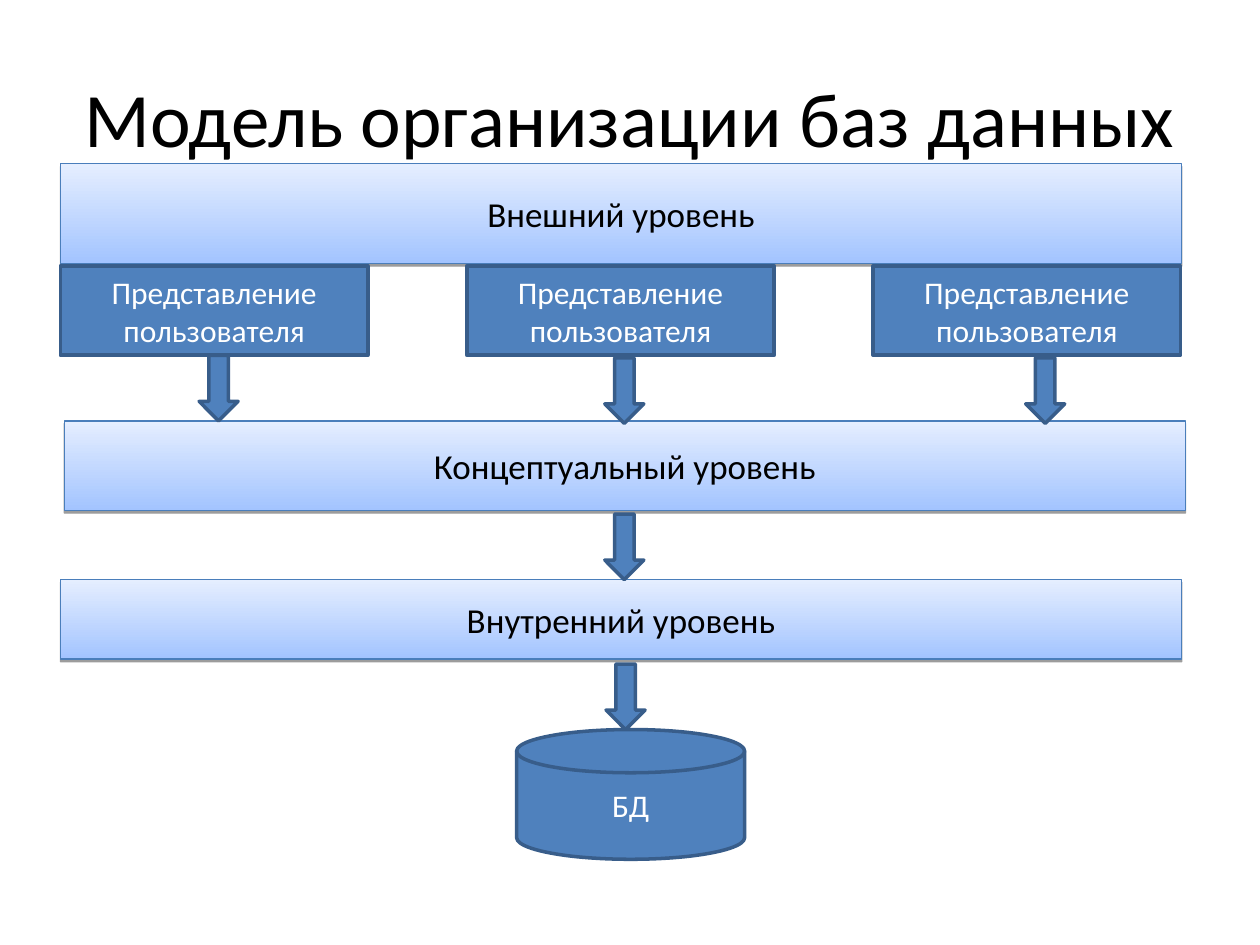
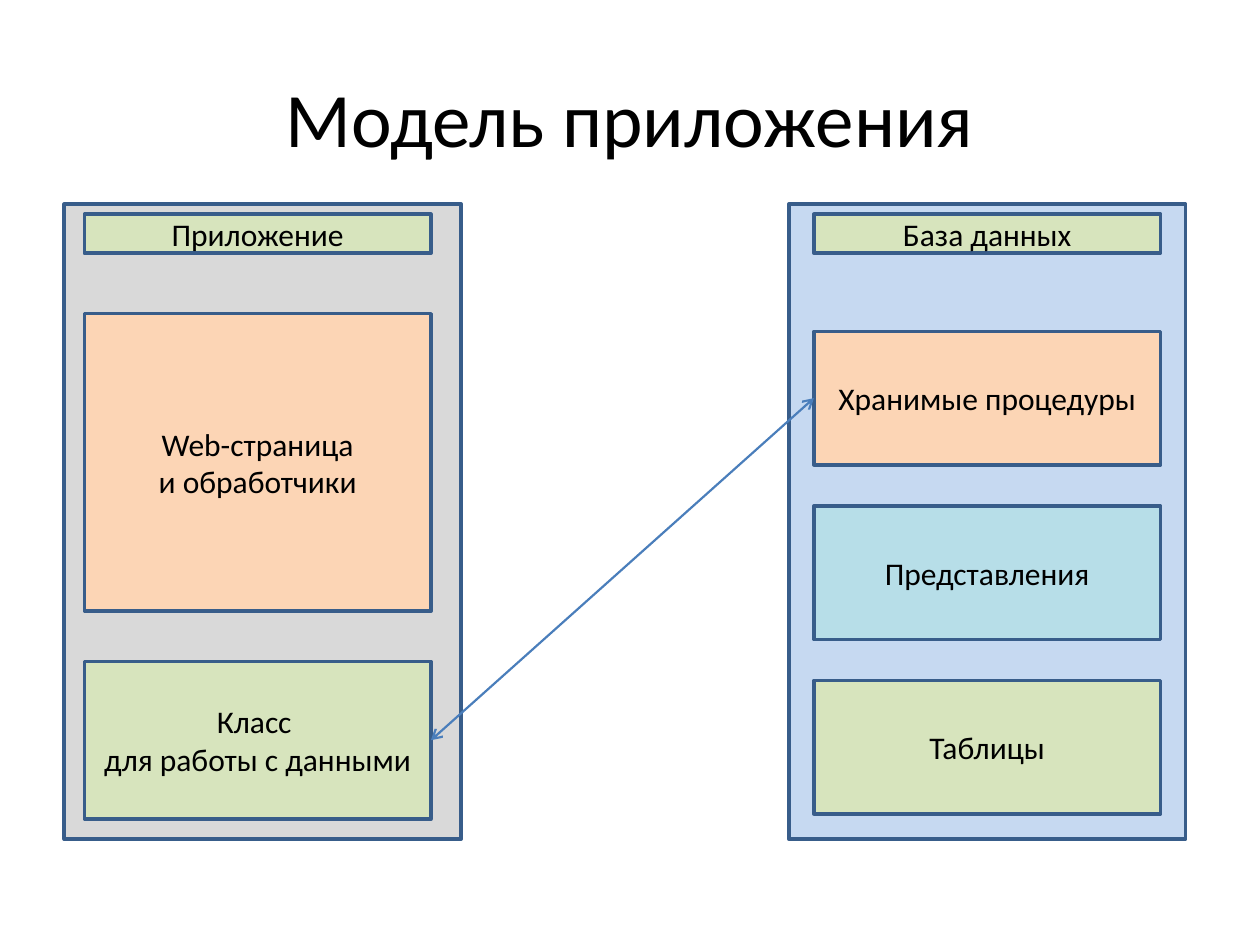
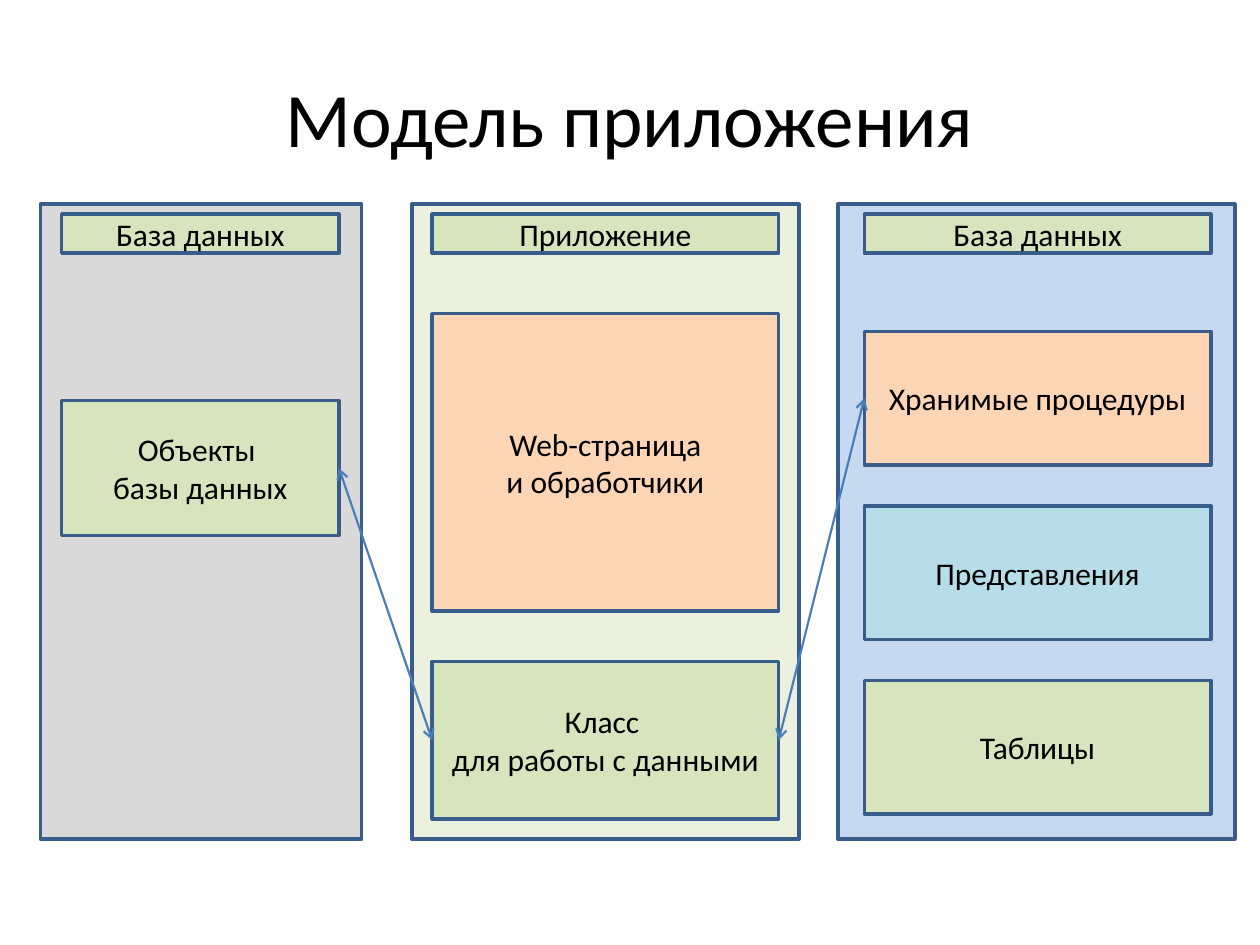
"""Builds three slides on database and application models."""
from lxml import etree
from pptx import Presentation, util as u
from pptx.dml.color import RGBColor
from pptx.enum import shapes as kinds, text as txt
from pptx.oxml import parse_xml
from pptx.oxml.ns import qn

WIDE, HIGH = 10, 7.5
FONT = "Calibri"
BLUE, EDGE, LINK = "4F81BD", "385D8A", "4A7EBB"
DARK, PALE = "A3C4FF", "E5EEFF"
GREY, SKY, MINT = "D9D9D9", "C6D9F1", "EBF1DE"
GREEN, PEACH, AQUA = "D7E4BD", "FCD5B5", "B7DEE8"
BLACK, WHITE = "000000", "FFFFFF"
KIND = kinds.MSO_SHAPE
NS = "http://schemas.openxmlformats.org/drawingml/2006/main"
SHADE = (f'<a:effectLst xmlns:a="{NS}"><a:outerShdw dist="20320" dir="5400000" rotWithShape="0">'
         '<a:srgbClr val="000000"><a:alpha val="38000"/></a:srgbClr></a:outerShdw></a:effectLst>')

LEVELS = [("Внешний уровень", 0.48, 1.3, 0.79),
          ("Концептуальный уровень", 0.51, 3.34, 0.71),
          ("Внутренний уровень", 0.48, 4.6, 0.63)]
LEVEL_W = 8.9
VIEW, VIEW_N = "Представление пользователя", 3
VIEW_X, VIEW_Y, VIEW_W, VIEW_H, VIEW_STEP = 0.48, 2.11, 2.44, 0.71, 3.225
ARROWS = [(1.58, 2.82), (4.8, 2.84), (8.14, 2.84), (4.8, 4.08), (4.81, 5.27)]
ARROW_W, ARROW_H = 0.31, 0.52
DISK = ("БД", 4.1, 5.79, 1.81, 1.03)

PANEL_Y, PANEL_H = 1.62, 5.04
HEAD_Y, HEAD_H = 1.7, 0.31
PAGE, CLASS = "Web-страница\vи обработчики", "Класс \vдля работы с данными"
STORED, OBJECTS = "Хранимые процедуры", "Объекты \vбазы данных"
APP = ("Приложение", [(PAGE, 2.49, 2.36, PEACH), (CLASS, 5.25, 1.25, GREEN)])
BASE = ("База данных", [(name, 2.63 + 1.385 * i, 1.06, fill) for i, (name, fill) in enumerate(
    [(STORED, PEACH), ("Представления", AQUA), ("Таблицы", GREEN)])])
STORE = ("База данных", [(OBJECTS, 3.18, 1.07, GREEN)])
MODELS = [
    {"panels": [(APP, 0.51, 3.15, GREY, 0.16, 2.75), (BASE, 6.26, 3.15, SKY, 0.2, 2.75)],
     "links": [(STORED, 1, CLASS, 3)]},
    {"panels": [(APP, 3.27, 3.07, MINT, 0.16, 2.75), (BASE, 6.65, 3.15, SKY, 0.21, 2.75),
                (STORE, 0.32, 2.55, GREY, 0.17, 2.2)],
     "links": [(STORED, 1, CLASS, 3), (OBJECTS, 3, CLASS, 1)]},
]


def rgb(code):
    """Turns a hex string into a colour."""
    return RGBColor.from_string(code)


def style(frame, words, size, color):
    """Writes centred text into a frame."""
    frame.word_wrap = True
    frame.vertical_anchor = txt.MSO_ANCHOR.MIDDLE
    para = frame.paragraphs[0]
    para.text = words
    para.alignment = txt.PP_ALIGN.CENTER
    for run in para.runs:
        for key, val in {"name": FONT, "size": u.Pt(size)}.items():
            setattr(run.font, key, val)
        run.font.color.rgb = rgb(color)


def page(deck, title):
    """Adds a slide with its title."""
    slide = deck.slides.add_slide(deck.slide_layouts[5])
    head = slide.shapes.title
    spots = {"left": 0.05 * WIDE, "top": 0.04 * HIGH, "width": 0.9 * WIDE, "height": HIGH / 6}
    for key, val in spots.items():
        setattr(head, key, u.Inches(val))
    style(head.text_frame, title, 44, BLACK)
    return slide


def box(slide, kind, spot, fill, words="", color=BLACK):
    """Adds a flat outlined shape."""
    shape = slide.shapes.add_shape(kind, *map(u.Inches, spot))
    shape.shadow.inherit = False
    shape.fill.solid()
    shape.fill.fore_color.rgb = rgb(fill)
    shape.line.color.rgb = rgb(EDGE)
    shape.line.width = u.Pt(2)
    if words:
        style(shape.text_frame, words, 18, color)
    return shape


def level(slide, words, x, y, h):
    """Adds a gradient band with a shadow."""
    band = box(slide, KIND.RECTANGLE, (x, y, LEVEL_W, h), PALE)
    band.fill.gradient()
    band.fill.gradient_angle = 90
    for stop, code in zip(band.fill.gradient_stops, (DARK, PALE)):
        stop.color.rgb = rgb(code)
    band.line.color.rgb = rgb(LINK)
    band.line.width = u.Pt(0.75)
    props = band.element.spPr
    props.replace(props.find(qn("a:effectLst")), parse_xml(SHADE))
    style(band.text_frame, words, 20, BLACK)


def link(slide, start, site, end, goal):
    """Joins two boxes with a two-headed arrow."""
    line = slide.shapes.add_connector(kinds.MSO_CONNECTOR.STRAIGHT, 0, 0, 0, 0)
    line.begin_connect(start, site)
    line.end_connect(end, goal)
    line.line.color.rgb = rgb(LINK)
    line.line.width = u.Pt(1.25)
    for tag in ("a:headEnd", "a:tailEnd"):
        etree.SubElement(line.line._get_or_add_ln(), qn(tag), type="arrow")
    etree.SubElement(line.element.spPr, qn("a:effectLst"))


def layers(deck):
    """Draws the database levels."""
    slide = page(deck, "Модель организации баз данных")
    for row in LEVELS:
        level(slide, *row)
    for i in range(VIEW_N):
        spot = (VIEW_X + i * VIEW_STEP, VIEW_Y, VIEW_W, VIEW_H)
        box(slide, KIND.RECTANGLE, spot, BLUE, VIEW, WHITE)
    for x, y in ARROWS:
        box(slide, KIND.DOWN_ARROW, (x, y, ARROW_W, ARROW_H), BLUE)
    name, *spot = DISK
    box(slide, KIND.FLOWCHART_MAGNETIC_DISK, spot, BLUE, name, WHITE)


def model(deck, panels, links):
    """Draws panels of boxes and their links."""
    slide = page(deck, "Модель приложения")
    made, kind = {}, KIND.FLOWCHART_PROCESS
    for (head, parts), x, w, fill, inset, wide in panels:
        box(slide, kind, (x, PANEL_Y, w, PANEL_H), fill)
        for name, y, h, tint in [(head, HEAD_Y, HEAD_H, GREEN)] + parts:
            made[name] = box(slide, kind, (x + inset, y, wide, h), tint, name)
    for start, site, end, goal in links:
        link(slide, made[start], site, made[end], goal)


def main():
    """Builds and saves the deck."""
    deck = Presentation()
    deck.slide_width, deck.slide_height = u.Inches(WIDE), u.Inches(HIGH)
    layers(deck)
    for item in MODELS:
        model(deck, **item)
    deck.save("out.pptx")


main()
